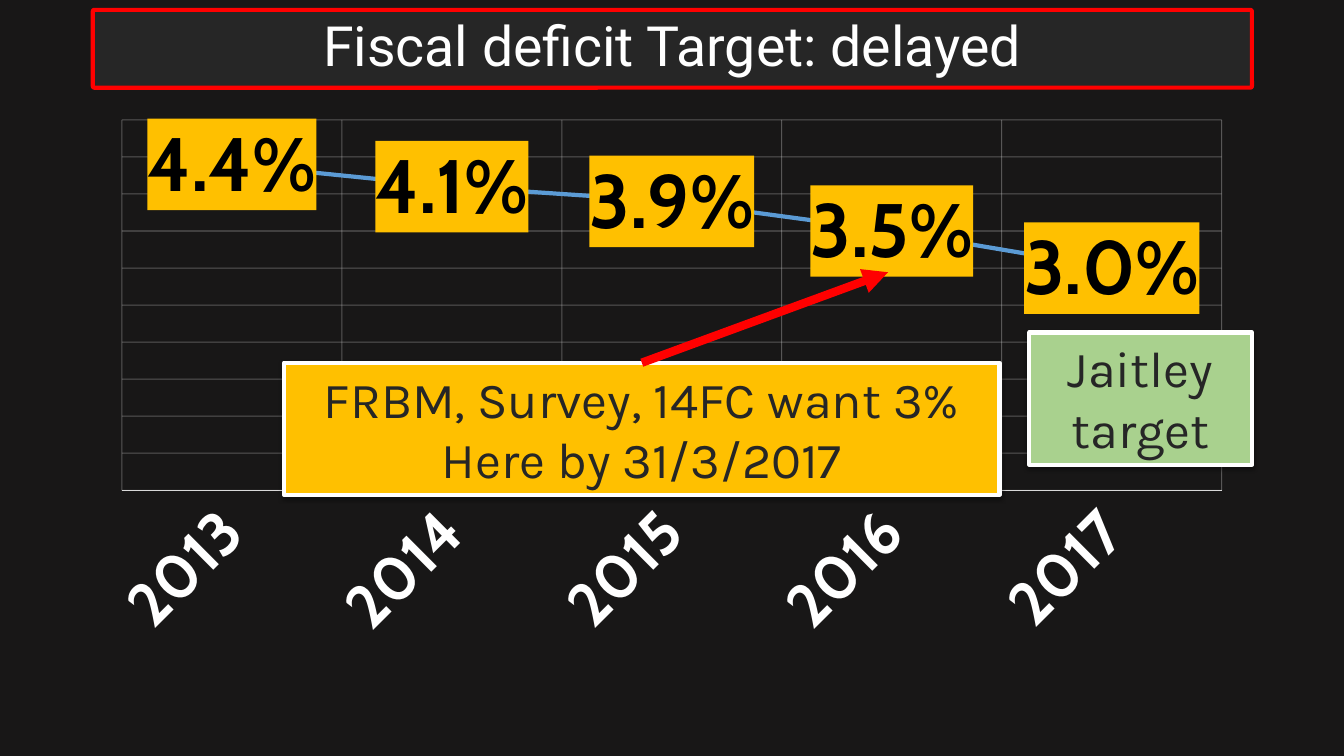
from dataclasses import dataclass
from pptx import Presentation
from pptx.chart.data import CategoryChartData
from pptx.dml.color import RGBColor
from pptx.enum.chart import XL_CHART_TYPE, XL_LABEL_POSITION, XL_MARKER_STYLE, XL_TICK_MARK
from pptx.enum.shapes import MSO_CONNECTOR, MSO_SHAPE
from pptx.enum.text import MSO_ANCHOR, PP_ALIGN
from pptx.oxml import parse_xml
from pptx.oxml.ns import nsdecls
from pptx.util import Cm, Pt


@dataclass(frozen=True)
class Theme:
    back: str = "181717"
    panel: str = "262626"
    white: str = "FFFFFF"
    black: str = "000000"
    red: str = "FF0000"
    gold: str = "FFC000"
    green: str = "A9D18E"
    blue: str = "5B9BD5"
    grid: str = "D9D9D9"
    title: float = 39.6
    note: float = 36
    year: float = 44
    value: float = 54
    base: float = 10


THEME = Theme()


def rgb(code):
    return RGBColor.from_string(code)


def xml(tag, body="", **attrs):
    pairs = "".join(f' {key}="{val}"' for key, val in attrs.items())
    return parse_xml(f"<{tag} {nsdecls('a', 'c')}{pairs}>{body}</{tag}>")


def style(font, face, size, color, bold=False):
    font.name, font.size, font.bold = face, Pt(size), bold
    font.color.rgb = rgb(color)


def stroke(line, color, width, alpha=None):
    line.color.rgb = rgb(color)
    line.width = Pt(width)
    if alpha:
        fill = line._get_or_add_ln().find(".//{*}srgbClr")
        fill.append(xml("a:alpha", val=alpha * 1000))


def write(shape, text, face="Karla", size=THEME.note, color=THEME.panel,
          anchor=MSO_ANCHOR.TOP, space=1.0):
    frame = shape.text_frame
    frame.word_wrap = True
    frame.vertical_anchor = anchor
    frame.text = text
    for para in frame.paragraphs:
        para.alignment = PP_ALIGN.CENTER
        para.line_spacing = space
        for run in para.runs:
            style(run.font, face, size, color)


def panel(slide, box, kind, fill, edge):
    shape = slide.shapes.add_shape(kind, *box)
    shape.shadow.inherit = False
    shape.fill.solid()
    shape.fill.fore_color.rgb = rgb(fill)
    stroke(shape.line, edge, 3)
    return shape


# Title bar
def header(slide, box, text):
    bar = panel(slide, box, MSO_SHAPE.ROUNDED_RECTANGLE, THEME.panel, THEME.red)
    bar.adjustments[0] = 0.02
    write(bar, text, face="Roboto", size=THEME.title, color=THEME.white,
          anchor=MSO_ANCHOR.MIDDLE, space=0.9)


# Line chart of the deficit by year
def trend(slide, box, years, rates):
    data = CategoryChartData(number_format="0.0%")
    data.categories = years
    data.add_series("Series 1", rates)
    chart = slide.shapes.add_chart(XL_CHART_TYPE.LINE_STACKED, *box, data).chart
    chart.has_legend = chart.has_title = False
    style(chart.font, "Calibri", THEME.base, THEME.black)

    # Axes
    years_axis, rate_axis = chart.category_axis, chart.value_axis
    for axis in (years_axis, rate_axis):
        axis.has_major_gridlines = True
        stroke(axis.major_gridlines.format.line, THEME.grid, 0.75, alpha=32)
        axis.major_tick_mark = axis.minor_tick_mark = XL_TICK_MARK.NONE
    stroke(years_axis.format.line, THEME.grid, 0.25)
    style(years_axis.tick_labels.font, "Cabin", THEME.year, THEME.white, True)
    years_axis._element.find("{*}txPr/{*}bodyPr").set("rot", "-2700000")
    rate_axis.visible = False
    rate_axis.minimum_scale, rate_axis.maximum_scale = 0, 0.05
    rate_axis.major_unit = 0.005

    # Series and its labels
    plot = chart.plots[0]
    plot.vary_by_categories = False
    series = plot.series[0]
    series.smooth = False
    series.marker.style = XL_MARKER_STYLE.NONE
    stroke(series.format.line, THEME.blue, 3)
    labels = series.data_labels
    labels.show_value = True
    labels.position = XL_LABEL_POSITION.CENTER
    labels.number_format, labels.number_format_is_linked = "0.0%", False
    style(labels.font, "Cabin", THEME.value, THEME.black, True)
    fill = f'<a:solidFill><a:srgbClr val="{THEME.gold}"/></a:solidFill>'
    labels._element.find("{*}txPr").addprevious(xml("c:spPr", fill))

    # Plot area
    area = chart._chartSpace.find(".//{*}plotArea")
    for old in area.findall("{*}layout"):
        area.remove(old)
    place = {"xMode": "edge", "yMode": "edge", "x": 0.025, "y": 0.033,
             "w": 0.949, "h": 0.638}
    body = '<c:layoutTarget val="inner"/>' + "".join(
        f'<c:{key} val="{val}"/>' for key, val in place.items())
    area.insert(0, xml("c:layout", f"<c:manualLayout>{body}</c:manualLayout>"))


# Boxed remark with a soft shadow
def remark(slide, box, text, fill):
    card = panel(slide, box, MSO_SHAPE.RECTANGLE, fill, THEME.white)
    shade = (f'<a:srgbClr val="{THEME.black}"><a:alpha val="38000"/></a:srgbClr>')
    card._element.spPr.find("{*}effectLst").append(
        xml("a:outerShdw", shade, blurRad=Pt(3.1), dist=Pt(1.6),
            dir=5400000, rotWithShape=0))
    write(card, text)


# Arrow from the top centre of a box to a point
def arrow(slide, box, tip):
    left, top, width, _ = box
    link = slide.shapes.add_connector(
        MSO_CONNECTOR.STRAIGHT, left + width // 2, top, *tip)
    stroke(link.line, THEME.red, 6)
    link.line._get_or_add_ln().append(xml("a:tailEnd", type="triangle"))
    link._element.spPr.append(xml("a:effectLst"))


def main():
    deck = Presentation()
    deck.slide_width, deck.slide_height = Cm(33.87), Cm(19.05)
    slide = deck.slides.add_slide(deck.slide_layouts[6])
    slide.background.fill.solid()
    slide.background.fill.fore_color.rgb = rgb(THEME.back)

    left, width = Cm(2.34), Cm(29.21)
    header(slide, (left, Cm(0.25), width, Cm(1.96)),
           "Fiscal deficit Target: delayed")
    trend(slide, (left, Cm(2.54), width, Cm(14.63)),
          ["2013", "2014", "2015", "2016", "2017"],
          [0.044, 0.041, 0.039, 0.035, 0.03])
    tall, wide = Cm(3.33), Cm(5.61)
    note = (Cm(7.16), Cm(9.14), Cm(18.03), tall)
    remark(slide, note, "FRBM, Survey, 14FC want 3%\nHere by 31/3/2017", THEME.gold)
    remark(slide, (left + width - wide, Cm(8.38), wide, tall),
           "Jaitley\ntarget", THEME.green)
    arrow(slide, note, (Cm(22.38), Cm(6.86)))
    deck.save("out.pptx")


if __name__ == "__main__":
    main()
